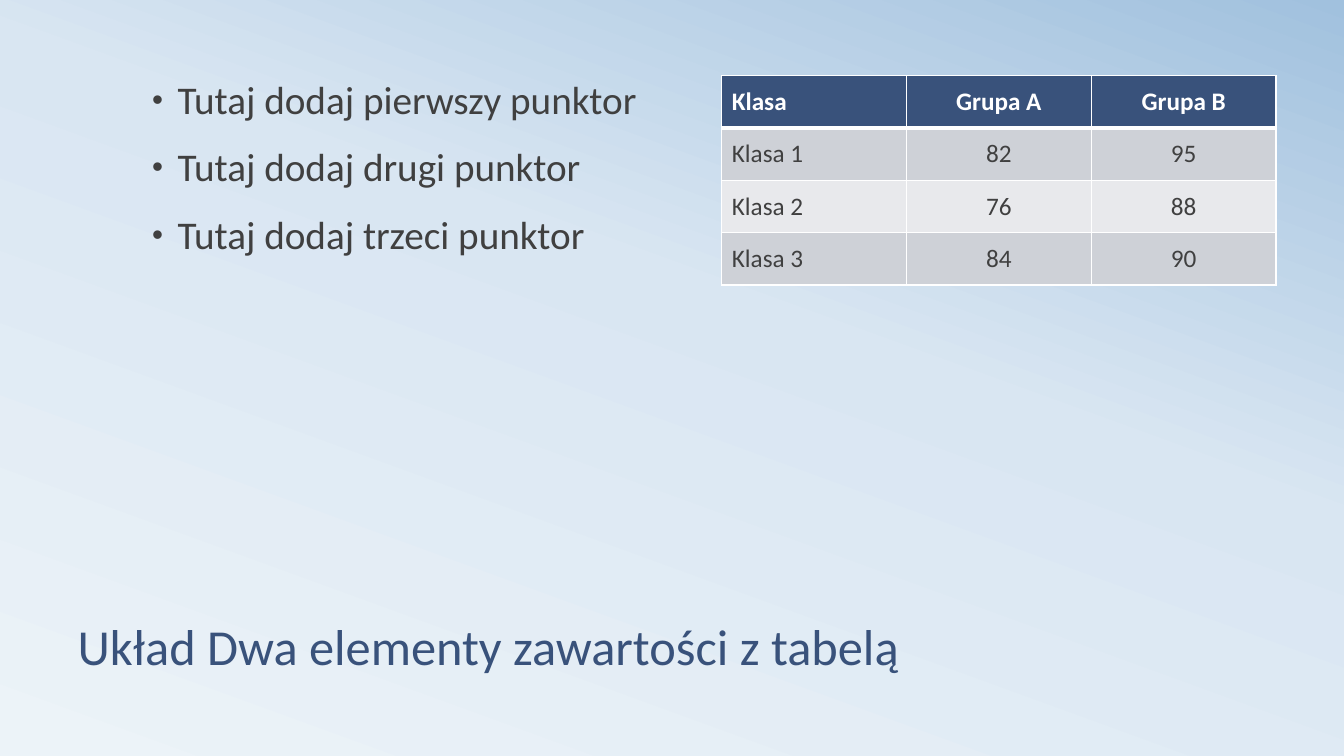
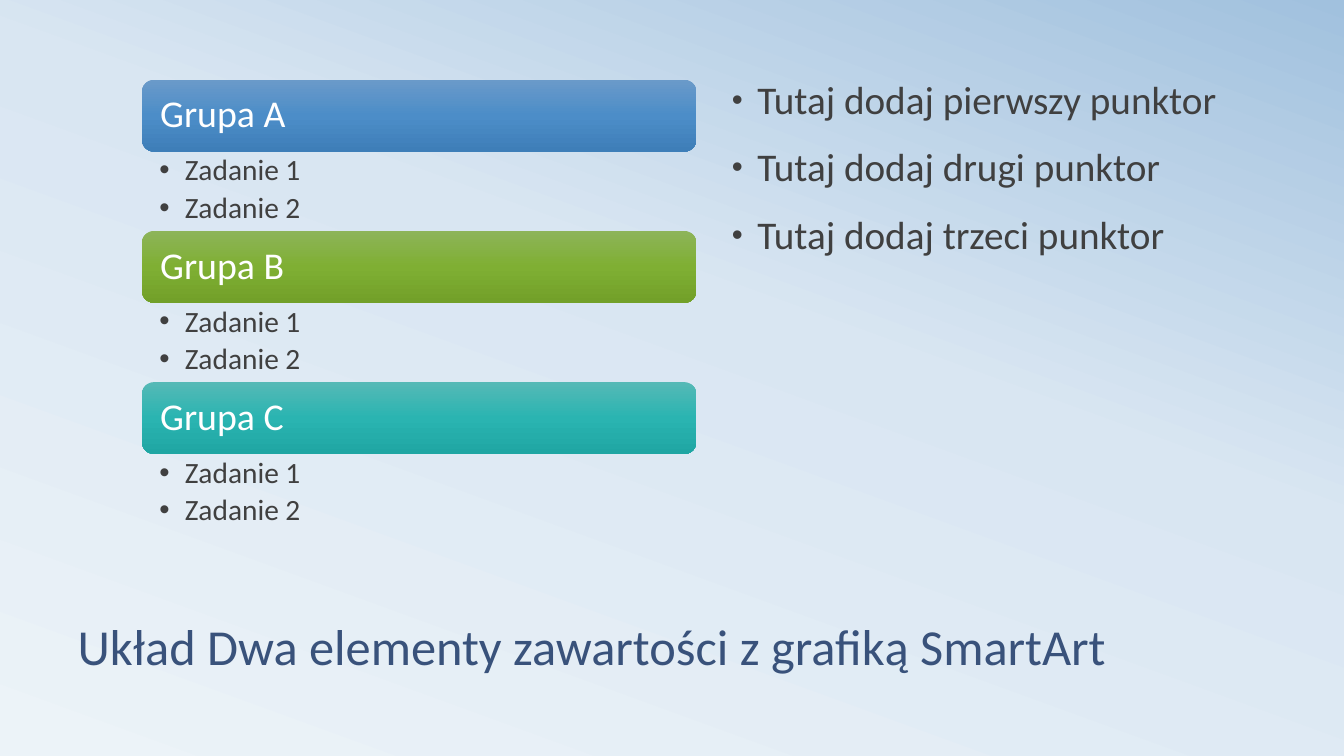
"""Build two slides: bullets beside a table, and task groups beside bullets."""
import copy
import dataclasses

import lxml.etree
import pptx
import pptx.dml.color
import pptx.enum.shapes
import pptx.enum.text
import pptx.oxml.ns
import pptx.util

Cm = pptx.util.Cm
Pt = pptx.util.Pt
qn = pptx.oxml.ns.qn
ALIGN = pptx.enum.text.PP_ALIGN
ANCHOR = pptx.enum.text.MSO_ANCHOR


@dataclasses.dataclass(frozen=True)
class Theme:
    font: str = "Calibri"
    accent: str = "39527B"
    ink: str = "404040"
    white: str = "FFFFFF"
    row_bands: tuple = ("CED1D7", "E8E9EC")
    background: tuple = ((0, "ECF3F8"), (0.58, "D9E6F2"), (1, "A1C1DE"))
    group_colors: tuple = (
        ("6A9AC9", "4C8DC8", "3E7EB8"),
        ("8DB459", "7FAF33", "72A029"),
        ("55B9B6", "2AB4B1", "1FA6A3"),
    )
    title_size: int = 36
    bullet_size: int = 28
    group_size: int = 27
    task_size: int = 21
    table_size: int = 18


LEFT, RIGHT = Cm(3.58), Cm(18.19)
TOP, COLUMN_WIDTH, COLUMN_HEIGHT = Cm(1.9), Cm(13.97), Cm(11.64)
BULLETS = ["Tutaj dodaj pierwszy punktor", "Tutaj dodaj drugi punktor", "Tutaj dodaj trzeci punktor"]
GROUPS = ["Grupa A", "Grupa B", "Grupa C"]
TASKS = ["Zadanie 1", "Zadanie 2"]
SCORES = [
    ["Klasa", "Grupa A", "Grupa B"],
    ["Klasa 1", "82", "95"],
    ["Klasa 2", "76", "88"],
    ["Klasa 3", "84", "90"],
]


def rgb(value):
    return pptx.dml.color.RGBColor.from_string(value)


def set_gradient(owner, fill, stops, angle):
    fill.gradient()
    fill.gradient_angle = angle
    stop_list = next(owner.element.iter(qn("a:gsLst")))
    while len(stop_list) < len(stops):
        stop_list.append(copy.deepcopy(stop_list[0]))
    for stop, (position, color) in zip(fill.gradient_stops, stops):
        stop.position = position
        stop.color.rgb = rgb(color)


class Deck:
    def __init__(self, theme):
        self.theme = theme
        self.presentation = pptx.Presentation()
        self.presentation.slide_width = Cm(33.87)
        self.presentation.slide_height = Cm(19.05)
        master = self.presentation.slide_master
        set_gradient(master, master.background.fill, theme.background, 70)
        self.slide = None

    def add_slide(self, title):
        self.slide = self.presentation.slides.add_slide(self.presentation.slide_layouts[1])
        shape = self.slide.shapes.title
        self.place(shape, Cm(1.7), Cm(14.18), Cm(30.48), Cm(2.96))
        frame = shape.text_frame
        frame.vertical_anchor = ANCHOR.BOTTOM
        frame.auto_size = pptx.enum.text.MSO_AUTO_SIZE.NONE
        paragraph = frame.paragraphs[0]
        paragraph.line_spacing = 0.8
        self.add_text(paragraph, title, self.theme.title_size, self.theme.accent)

    def place(self, shape, left, top, width, height):
        shape.left, shape.top, shape.width, shape.height = left, top, width, height

    def add_text(self, paragraph, text, size, color, bold=False, align=ALIGN.LEFT):
        paragraph.alignment = align
        run = paragraph.add_run()
        run.text = text
        run.font.name = self.theme.font
        run.font.size = Pt(size)
        run.font.bold = bold
        run.font.color.rgb = rgb(color)

    def add_list(self, frame, items, size, before, after, bullet_percent):
        for index, item in enumerate(items):
            paragraph = frame.add_paragraph() if index else frame.paragraphs[0]
            paragraph.line_spacing = 0.9
            paragraph.space_before, paragraph.space_after = Pt(before), Pt(after)
            self.add_text(paragraph, item, size, self.theme.ink)
            self.set_bullet(paragraph, bullet_percent)

    def set_bullet(self, paragraph, percent):
        properties = paragraph._p.get_or_add_pPr()
        properties.set("marL", str(Cm(0.64)))
        properties.set("indent", str(-Cm(0.64)))
        color = lxml.etree.SubElement(properties, qn("a:buClr"))
        lxml.etree.SubElement(color, qn("a:srgbClr"), val=self.theme.ink)
        lxml.etree.SubElement(properties, qn("a:buSzPct"), val=str(percent * 1000))
        lxml.etree.SubElement(properties, qn("a:buFont"), typeface="Arial")
        lxml.etree.SubElement(properties, qn("a:buChar"), char="•")

    def add_bullets(self, items, left):
        shape = self.slide.placeholders[1]
        self.place(shape, left, TOP, COLUMN_WIDTH, COLUMN_HEIGHT)
        shape.text_frame.auto_size = pptx.enum.text.MSO_AUTO_SIZE.NONE
        self.add_list(shape.text_frame, items, self.theme.bullet_size, 18, 0, 80)

    def add_table(self, rows, left):
        row_height = Cm(1.32)
        table = self.slide.shapes.add_table(
            len(rows), len(rows[0]), left, TOP, COLUMN_WIDTH, row_height * len(rows)
        ).table
        for row_index, row in enumerate(rows):
            header = row_index == 0
            fill = self.theme.accent if header else self.theme.row_bands[(row_index - 1) % 2]
            for column_index, text in enumerate(row):
                cell = table.cell(row_index, column_index)
                cell.vertical_anchor = ANCHOR.MIDDLE
                self.set_borders(cell, top=3 if row_index == 1 else 1, bottom=3 if header else 1)
                cell.fill.solid()
                cell.fill.fore_color.rgb = rgb(fill)
                self.add_text(
                    cell.text_frame.paragraphs[0],
                    text,
                    self.theme.table_size,
                    self.theme.white if header else self.theme.ink,
                    header,
                    ALIGN.CENTER if column_index else ALIGN.LEFT,
                )

    def set_borders(self, cell, top, bottom):
        properties = cell._tc.get_or_add_tcPr()
        for side, width in (("L", 1), ("R", 1), ("T", top), ("B", bottom)):
            line = lxml.etree.SubElement(properties, qn("a:ln" + side), w=str(Pt(width)))
            fill = lxml.etree.SubElement(line, qn("a:solidFill"))
            lxml.etree.SubElement(fill, qn("a:srgbClr"), val=self.theme.white)

    def add_group(self, name, tasks, colors, left, top):
        header_height, tasks_height = Cm(1.81), Cm(2)
        header = self.slide.shapes.add_shape(
            pptx.enum.shapes.MSO_SHAPE.ROUNDED_RECTANGLE, left, top, COLUMN_WIDTH, header_height
        )
        header.shadow.inherit = False
        header.line.fill.background()
        set_gradient(header, header.fill, list(zip((0, 0.5, 1), colors)), 270)
        frame = header.text_frame
        frame.vertical_anchor = ANCHOR.MIDDLE
        frame.margin_left = frame.margin_right = Cm(0.37)
        frame.paragraphs[0].line_spacing = 0.9
        self.add_text(frame.paragraphs[0], name, self.theme.group_size, self.theme.white)

        box = self.slide.shapes.add_textbox(left, top + header_height, COLUMN_WIDTH, tasks_height)
        frame = box.text_frame
        frame.word_wrap = True
        frame.margin_left, frame.margin_right = Cm(0.44), Cm(0.53)
        frame.margin_top = frame.margin_bottom = Cm(0.1)
        self.add_list(frame, tasks, self.theme.task_size, 0, 4, 100)


def main():
    deck = Deck(Theme())

    deck.add_slide("Układ Dwa elementy zawartości z tabelą")
    deck.add_bullets(BULLETS, LEFT)
    deck.add_table(SCORES, RIGHT)

    deck.add_slide("Układ Dwa elementy zawartości z grafiką SmartArt")
    for index, (name, colors) in enumerate(zip(GROUPS, deck.theme.group_colors)):
        deck.add_group(name, TASKS, colors, LEFT, Cm(2.01) + index * Cm(3.81))
    deck.add_bullets(BULLETS, RIGHT)

    deck.presentation.save("out.pptx")


if __name__ == "__main__":
    main()
